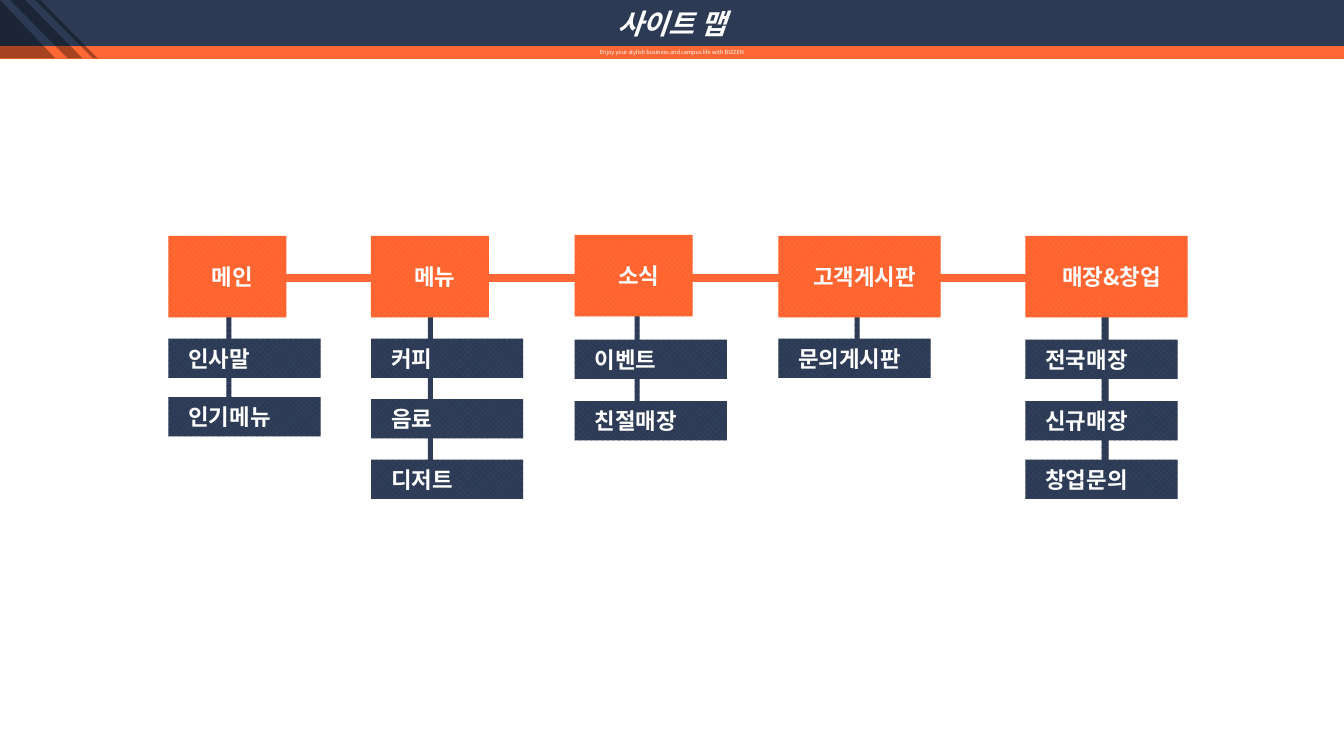
"""Build the site map slide: a header band over five linked menu columns."""
import pptx
import pptx.dml.color
import pptx.enum.dml
import pptx.enum.shapes
import pptx.enum.text
import pptx.oxml.ns
import pptx.util
from lxml import etree

Inches = pptx.util.Inches
RGB = pptx.dml.color.RGBColor.from_string
SHAPE = pptx.enum.shapes.MSO_SHAPE
ALIGN = pptx.enum.text.PP_ALIGN
qn = pptx.oxml.ns.qn
FONT = "Noto Sans CJK KR"
COLORS = {"navy": "2C3A54", "navy_dots": "384A6A", "orange": "FF6834",
          "orange_dots": "FF5B21", "white": "FFFFFF", "black": "000000"}


def add_box(x, y, w, h, color, dots=None, kind=SHAPE.RECTANGLE):
    sp = s.shapes.add_shape(kind, Inches(x), Inches(y), Inches(w), Inches(h))
    sp.shadow.inherit = False
    sp.line.fill.background()
    if dots:
        sp.fill.patterned()
        sp.fill.pattern = pptx.enum.dml.MSO_PATTERN.SOLID_DIAMOND
        sp.fill.fore_color.rgb = RGB(COLORS[dots])
        sp.fill.back_color.rgb = RGB(COLORS[color])
    else:
        sp.fill.solid()
        sp.fill.fore_color.rgb = RGB(COLORS[color])
    return sp


def write(sp, text, size=16, bold=True, italic=False, align=ALIGN.CENTER, indent=0.0):
    tf = sp.text_frame
    tf.word_wrap = True
    tf.auto_size = pptx.enum.text.MSO_AUTO_SIZE.NONE
    tf.vertical_anchor = pptx.enum.text.MSO_ANCHOR.MIDDLE
    p = tf.paragraphs[0]
    p.alignment = align
    if indent:
        pPr = p._p.get_or_add_pPr()
        pPr.set("marL", str(Inches(indent)))
        pPr.set("indent", "0")
    r = p.add_run()
    r.text = text
    r.font.size = pptx.util.Pt(size)
    r.font.bold = bold
    r.font.italic = italic
    r.font.color.rgb = RGB(COLORS["white"])
    r.font.name = FONT
    etree.SubElement(r._r.get_or_add_rPr(), qn("a:ea")).set("typeface", FONT)


prs = pptx.Presentation()
prs.slide_width, prs.slide_height = Inches(13.33), Inches(7.5)
s = prs.slides.add_slide(prs.slide_layouts[5])

title = s.shapes.title
title.left, title.top = Inches(0), Inches(0)
title.width, title.height = Inches(13.33), Inches(0.46)
title.fill.solid()
title.fill.fore_color.rgb = RGB(COLORS["navy"])
write(title, "사이트 맵", size=20, italic=True)

tagline = add_box(0, 0.46, 13.33, 0.12, "orange")
tagline.line.color.rgb = RGB(COLORS["orange"])
tagline.line.width = pptx.util.Pt(1)
write(tagline, "Enjoy your stylish business and campus life with BIZZEN", size=4, bold=False)

for kind, x, w in [(SHAPE.RIGHT_TRIANGLE, 0, 0.55),
                   (SHAPE.PARALLELOGRAM, 0.1, 0.72),
                   (SHAPE.PARALLELOGRAM, 0.35, 0.62)]:
    stripe = add_box(x, 0, w, 0.58, "black", kind=kind)
    if kind == SHAPE.PARALLELOGRAM:
        stripe.adjustments[0] = 0.987
        stripe._element.spPr.find(qn("a:xfrm")).set("flipH", "1")
    tone = stripe._element.spPr.find(qn("a:solidFill"))[0]
    etree.SubElement(tone, qn("a:alpha")).set("val", "35000")

rail = add_box(1.76, 2.73, 9.92, 0.06, "orange")
rail.line.color.rgb = RGB(COLORS["orange"])
rail.line.width = pptx.util.Pt(1)

columns = [
    ("메인", 1.67, 2.34, 1.17, 2.27, 0.05, [("인사말", 3.36), ("인기메뉴", 3.94)]),
    ("메뉴", 3.68, 2.34, 1.17, 4.27, 0.05, [("커피", 3.36), ("음료", 3.96), ("디저트", 4.56)]),
    ("소식", 5.7, 2.33, 1.17, 6.32, 0.05, [("이벤트", 3.37), ("친절매장", 3.98)]),
    ("고객게시판", 7.72, 2.34, 1.61, 8.5, 0.05, [("문의게시판", 3.36)]),
    ("매장&창업", 10.17, 2.34, 1.61, 10.96, 0.07,
     [("전국매장", 3.37), ("신규매장", 3.98), ("창업문의", 4.56)]),
]
for menu, x, y, w, stem_x, stem_w, pages in columns:
    stem_bottom = pages[-1][1] + 0.2
    add_box(stem_x - stem_w / 2, 3.06, stem_w, stem_bottom - 3.06, "navy", "navy_dots")
    write(add_box(x, y, w, 0.81, "orange", "orange_dots"), menu, indent=0.1)
    for page, page_y in pages:
        write(add_box(x, page_y, 1.51, 0.39, "navy", "navy_dots"), page,
              align=ALIGN.LEFT, indent=0.1)

prs.save("out.pptx")
